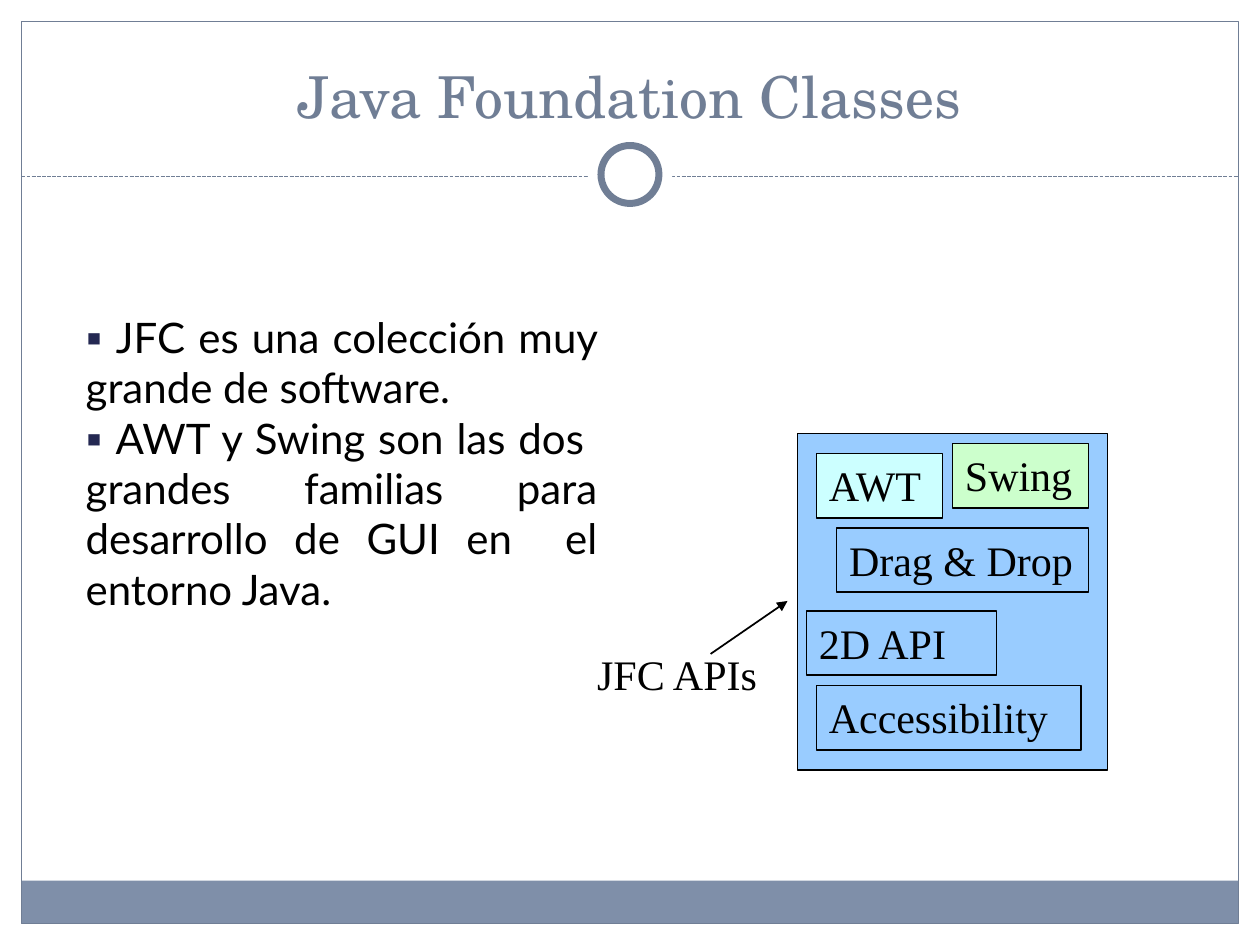
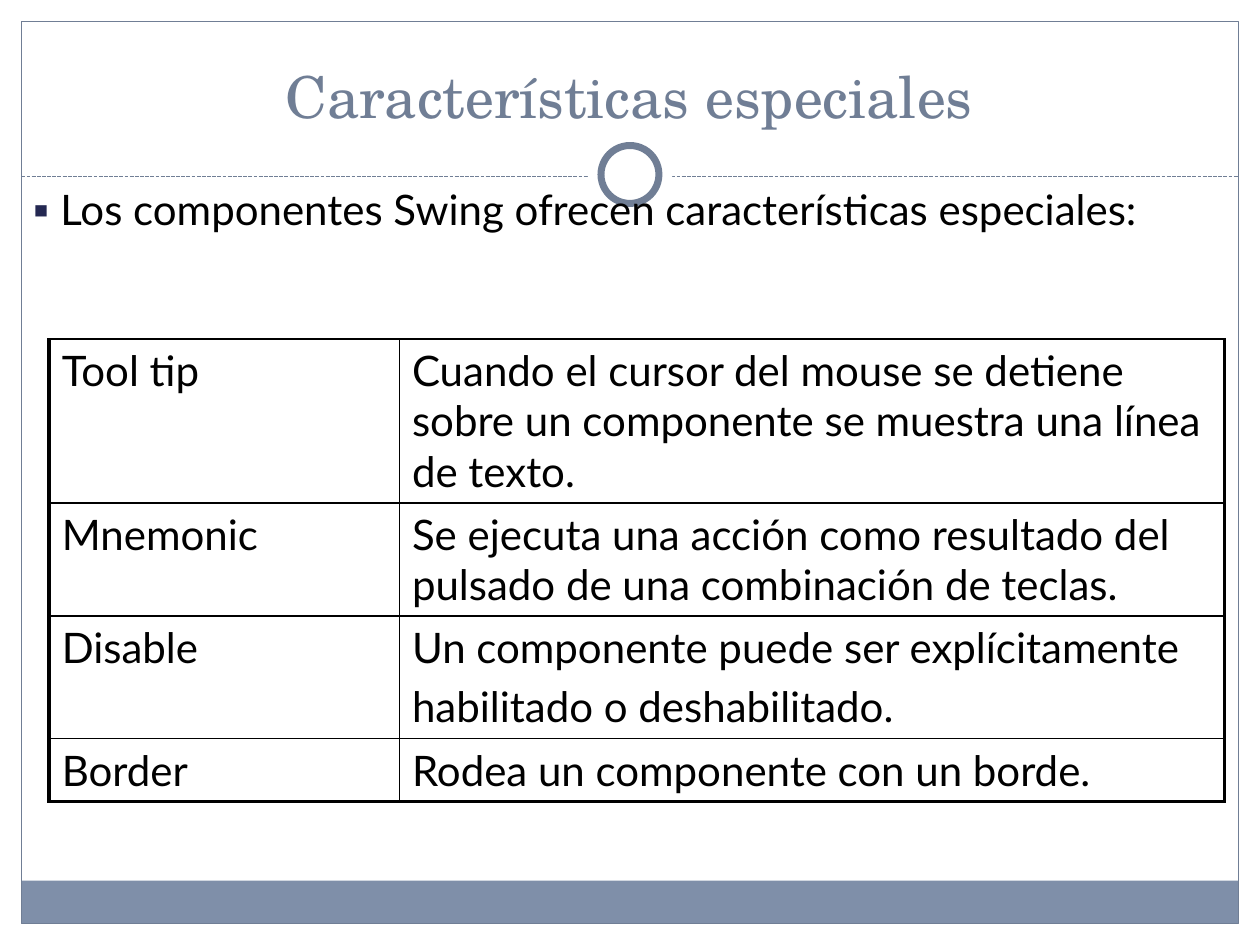
from collections import namedtuple

from lxml import etree
from pptx import Presentation
from pptx.dml.color import RGBColor
from pptx.enum.dml import MSO_LINE
from pptx.enum.shapes import MSO_CONNECTOR, MSO_SHAPE
from pptx.enum.text import MSO_ANCHOR, MSO_AUTO_SIZE, PP_ALIGN
from pptx.oxml.ns import qn
from pptx.util import Inches, Pt

RECT, OVAL = MSO_SHAPE.RECTANGLE, MSO_SHAPE.OVAL
STRAIGHT, DASH = MSO_CONNECTOR.STRAIGHT, MSO_LINE.SQUARE_DOT
TOP, BOTTOM = MSO_ANCHOR.TOP, MSO_ANCHOR.BOTTOM
LEFT, CENTER, JUSTIFY = PP_ALIGN.LEFT, PP_ALIGN.CENTER, PP_ALIGN.JUSTIFY
NO_FIT = MSO_AUTO_SIZE.NONE

SLATE, BAND, NAVY = "707E95", "7F8FA9", "242852"
BLACK, WHITE = "000000", "FFFFFF"
SKY, AQUA, MINT = "99CCFF", "CCFFFF", "CCFFCC"
TITLE_FONT, BODY_FONT, DIAGRAM_FONT = "TeX Gyre Schola", "Lato", "Times New Roman"
TEXT_SIZE = 24

# The slide is a grid of 100 columns by 75 rows
COLUMNS, ROWS = 100, 75
CELL = 0.1


class Box(namedtuple("Box", "left top width height")):
    def inside(self, left, top, width, height):
        return Box(self.left + left, self.top + top, width, height)

    def lengths(self):
        return [grid(value) for value in self]


FRAME = Box(1.7, 1.7, COLUMNS - 3.4, ROWS - 3.4)
TITLE = Box(3.3, 2.5, 93.3, 8.3)


def grid(cells):
    return Inches(cells * CELL)


def color(hex_string):
    return RGBColor.from_string(hex_string)


def style_font(span, name, size, hex_string):
    span.font.name = name
    span.font.size = Pt(size)
    span.font.color.rgb = color(hex_string)


def add_panel(page, box, fill=None, line=None, weight=1, kind=RECT):
    panel = page.shapes.add_shape(kind, *box.lengths())
    panel.shadow.inherit = False
    if fill:
        panel.fill.solid()
        panel.fill.fore_color.rgb = color(fill)
    else:
        panel.fill.background()
    if line:
        panel.line.color.rgb = color(line)
        panel.line.width = Pt(weight)
    else:
        panel.line.fill.background()
    return panel


def add_line(page, start, end, hex_string, weight):
    line = page.shapes.add_connector(STRAIGHT, *[grid(v) for v in (*start, *end)])
    line.line.color.rgb = color(hex_string)
    line.line.width = Pt(weight)
    etree.SubElement(line.element.spPr, qn("a:effectLst"))
    return line


def write_label(shape, text, wrap=True):
    frame = shape.text_frame
    frame.text = text
    frame.word_wrap = wrap
    frame.vertical_anchor = TOP
    para = frame.paragraphs[0]
    para.alignment = LEFT
    style_font(para.runs[0], DIAGRAM_FONT, TEXT_SIZE, BLACK)


def place(holder, box, anchor):
    holder.left, holder.top, holder.width, holder.height = box.lengths()
    frame = holder.text_frame
    frame.word_wrap = True
    frame.auto_size = NO_FIT
    frame.vertical_anchor = anchor
    return frame


# Shared decoration, kept on the layout
def decorate_layout(layout, page):
    rule = 14
    bottom = FRAME.top + FRAME.height
    middle = COLUMNS / 2
    dashes = ((FRAME.left, rule), (FRAME.left + FRAME.width, rule))
    parts = [
        add_panel(page, Box(FRAME.left, bottom - 3.4, FRAME.width, 3.4), BAND),
        add_panel(page, FRAME, line=SLATE, weight=0.75),
        add_line(page, *dashes, SLATE, 0.75),
    ]
    parts[-1].line.dash_style = DASH
    for size, line in ((6.7, None), (4.6, SLATE)):
        ring = Box(middle - size / 2, 13.85 - size / 2, size, size)
        parts.append(add_panel(page, ring, WHITE, line, 4, OVAL))
    for number, part in enumerate(parts, 100):
        part.element.xpath(".//p:cNvPr")[0].set("id", str(number))
        layout.shapes.element.append(part.element)


def set_title(page, text):
    frame = place(page.shapes.title, TITLE, BOTTOM)
    frame.text = text
    para = frame.paragraphs[0]
    para.alignment = CENTER
    style_font(para.runs[0], TITLE_FONT, 33, SLATE)


def set_body(page, box, items, alignment):
    frame = place(page.placeholders[1], box, TOP)
    frame.text = "\n".join(["▪ "] * len(items))
    for para, item in zip(frame.paragraphs, items):
        para.add_run().text = item
        para.alignment = alignment
        para.space_before = Pt(0)
        for span, hex_string in zip(para.runs, (NAVY, BLACK)):
            style_font(span, BODY_FONT, TEXT_SIZE, hex_string)
        # The square is part of the text, so the list bullet is off
        properties = para._p.get_or_add_pPr()
        properties.set("marL", "0")
        properties.set("indent", "0")
        etree.SubElement(properties, qn("a:buNone"))


# Diagram of the JFC libraries
def draw_apis(page, box):
    add_panel(page, box, SKY, BLACK)
    apis = [
        ("AWT", 1.5, 1.6, 10, AQUA),
        ("Swing", 12.3, 0.8, 10.8, MINT),
        ("Accessibility", 1.5, 20, 21, None),
        ("2D API", 0.7, 14.1, 15.1, None),
        ("Drag & Drop", 3.1, 7.5, 20, None),
    ]
    for name, left, top, width, fill in apis:
        api = add_panel(page, box.inside(left, top, width, 5.1), fill, BLACK)
        write_label(api, name)
    caption = page.shapes.add_textbox(*box.inside(-16.9, 16.6, 14.9, 5).lengths())
    write_label(caption, "JFC APIs", wrap=False)
    start, end = box.inside(-6.9, 17.5, 0, 0), box.inside(-0.8, 13.3, 0, 0)
    arrow = add_line(page, start[:2], end[:2], BLACK, 1)
    etree.SubElement(arrow.line._get_or_add_ln(), qn("a:tailEnd"), type="triangle")


def set_borders(cell, weights):
    properties = cell._tc.get_or_add_tcPr()
    for index, (side, weight) in enumerate(zip("LRTB", weights)):
        border = etree.Element(qn(f"a:ln{side}"), w=str(Pt(weight)))
        if weight:
            fill = etree.SubElement(border, qn("a:solidFill"))
            etree.SubElement(fill, qn("a:srgbClr"), val=BLACK)
        else:
            etree.SubElement(border, qn("a:noFill"))
        properties.insert(index, border)


# Table of features under an open, empty first row
def draw_features(page, box, features):
    rows = [("", "")] + features
    heights = (6.6, 13, 9, 9.7, 5)
    widths = (27.8, box.width - 27.8)
    table = page.shapes.add_table(len(rows), len(widths), *box.lengths()).table
    table.first_row = table.horz_banding = False
    for column, width in zip(table.columns, widths):
        column.width = grid(width)
    for r, (texts, height) in enumerate(zip(rows, heights)):
        table.rows[r].height = grid(height)
        for c, text in enumerate(texts):
            cell = table.cell(r, c)
            cell.fill.background()
            thin, thick = 1, 2.25
            if r == 0:
                set_borders(cell, (0, 0, 0, thin))
                continue
            set_borders(cell, (
                thick if c == 0 else thin,
                thick if c == len(widths) - 1 else thin,
                thin,
                thick if r == len(rows) - 1 else thin,
            ))
            cell.text_frame.text = text
            for para in cell.text_frame.paragraphs:
                para.space_before = Pt(TEXT_SIZE * 0.2)
                style_font(para.runs[0], BODY_FONT, TEXT_SIZE, BLACK)


def build_jfc(page):
    set_title(page, "Java Foundation Classes")
    set_body(page, Box(5.8, 24.2, 42.6, 25.2), [
        "JFC es una colección muy grande de software.",
        "AWT y Swing son las dos  grandes familias para desarrollo de GUI "
        "en  el entorno Java.",
    ], JUSTIFY)
    draw_apis(page, Box(63.3, 34.4, 24.6, 26.7))


def build_features(page):
    set_title(page, "Características especiales")
    set_body(page, Box(1.6, 14.1, 95, 5), [
        "Los componentes Swing ofrecen características especiales:",
    ], LEFT)
    draw_features(page, Box(3.9, 20.3, 93.3, 43.3), [
        ("Tool tip", "Cuando el cursor del mouse se detiene sobre un "
                     "componente se muestra una línea de texto."),
        ("Mnemonic", "Se ejecuta una acción como resultado del pulsado "
                     "de una combinación de teclas."),
        ("Disable", "Un componente puede ser explícitamente\n"
                    "habilitado o deshabilitado."),
        ("Border", "Rodea un componente con un borde."),
    ])


def main():
    deck = Presentation()
    deck.slide_width, deck.slide_height = grid(COLUMNS), grid(ROWS)
    layout = deck.slide_layouts[1]
    pages = [deck.slides.add_slide(layout) for _ in range(2)]
    decorate_layout(layout, pages[0])
    build_jfc(pages[0])
    build_features(pages[1])
    deck.save("out.pptx")


if __name__ == "__main__":
    main()
